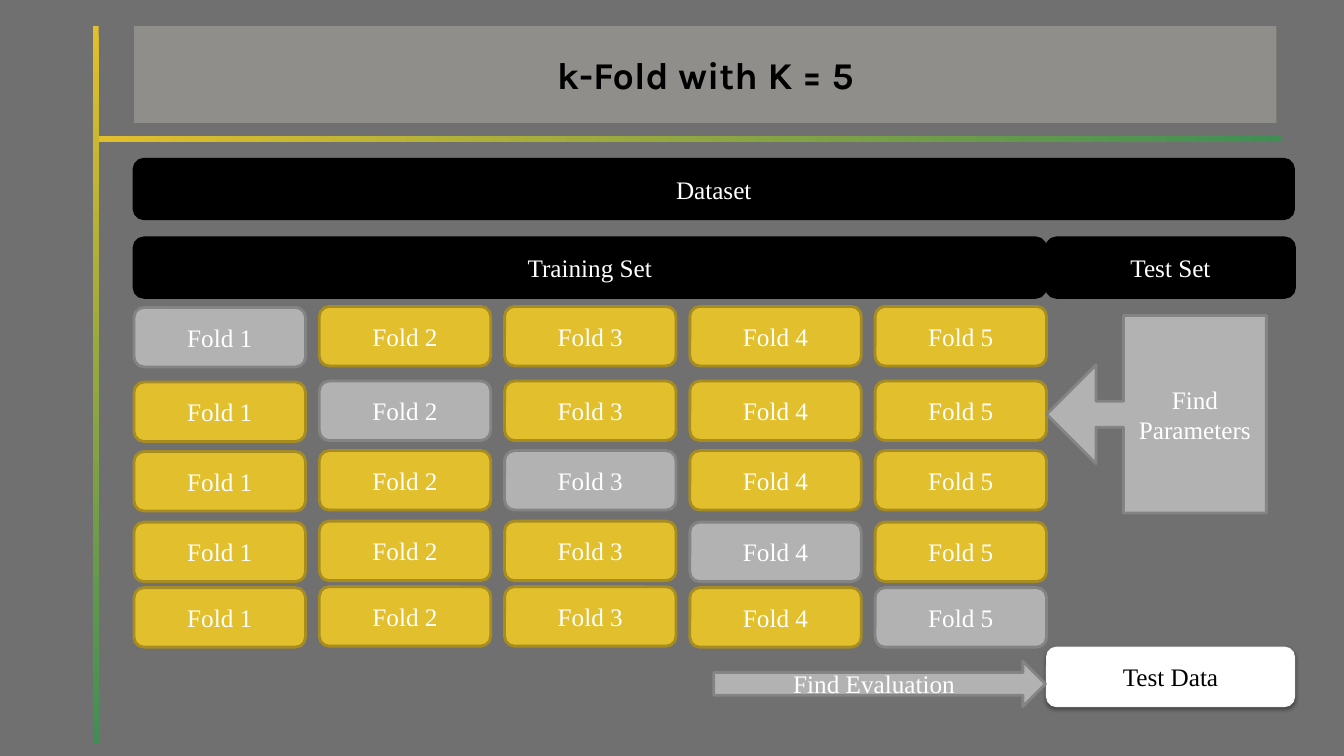
import pptx
import pptx.util
import pptx.dml.color
import pptx.enum.shapes
import pptx.enum.text
import pptx.oxml
import pptx.oxml.ns

Inches = pptx.util.Inches
Pt = pptx.util.Pt
KIND = pptx.enum.shapes.MSO_SHAPE
HUES = {
    "back": "707070", "gold": "E2BF2C", "rim": "A78D21", "green": "408E56",
    "cream": "EEEBDE", "grey": "B2B2B2", "edge": "848484",
    "black": "000000", "white": "FFFFFF", "pale": "F9F9F9",
}


def hue(name):
    return pptx.dml.color.RGBColor.from_string(HUES[name])


def block(kind, box, fill, line=None, text="", ink="white", font="Times New Roman", size=18):
    shape = slide.shapes.add_shape(kind, *[Inches(n) for n in box])
    shape.shadow.inherit = False
    shape.fill.solid()
    shape.fill.fore_color.rgb = hue(fill)
    if line:
        shape.line.color.rgb = hue(line)
        shape.line.width = Pt(2)
    else:
        shape.line.fill.background()
    if text:
        shape.text_frame.text = text
        shape.text_frame.vertical_anchor = pptx.enum.text.MSO_ANCHOR.MIDDLE
        para = shape.text_frame.paragraphs[0]
        para.alignment = pptx.enum.text.PP_ALIGN.CENTER
        run = para.runs[0]
        run.font.name = font
        run.font.size = Pt(size)
        run.font.color.rgb = hue(ink)
    return shape


deck = pptx.Presentation()
deck.slide_width = Inches(13.33)
deck.slide_height = Inches(7.5)
slide = deck.slides.add_slide(deck.slide_layouts[6])
slide.background.fill.solid()
slide.background.fill.fore_color.rgb = hue("back")

for box, angle in [((0.92, 0.26, 0.06, 7.11), 270), ((0.98, 1.35, 11.74, 0.06), 0)]:
    bar = block(KIND.RECTANGLE, box, "gold")
    bar.fill.gradient()
    bar.fill.gradient_angle = angle
    for stop, name in zip(bar.fill.gradient_stops, ["gold", "green"]):
        stop.color.rgb = hue(name)

title = block(KIND.RECTANGLE, (1.33, 0.26, 11.33, 0.96), "cream", None,
              "k-Fold with K = 5", "black", "Karla", 27)
title.text_frame.paragraphs[0].runs[0].font.bold = True
tint = title.fill._xPr.find(".//" + pptx.oxml.ns.qn("a:srgbClr"))
tint.append(pptx.oxml.parse_xml(
    f'<a:alpha {pptx.oxml.ns.nsdecls("a")} val="25000"/>'))

high = 0.59
left = 1.33
for x, y, wide, text in [
    (left, 1.58, 11.5, "Dataset"),
    (left, 2.36, 9.04, "Training Set"),
    (10.38, 2.36, 2.46, "Test Set"),
]:
    block(KIND.ROUNDED_RECTANGLE, (x, y, wide, high), "black", "black", text)

step = (8.68 - left) / 4
for row, top in enumerate([3.04, 3.78, 4.47, 5.17, 5.82]):
    for col in range(5):
        fill, line = ("grey", "edge") if row == col else ("gold", "rim")
        drop = 0.01 if col == 0 or (row > 2 and col > 2) else 0
        block(KIND.ROUNDED_RECTANGLE, (left + col * step, top + drop, 1.7, high),
              fill, line, f"Fold {col + 1}")

call = block(KIND.DOWN_ARROW_CALLOUT, (10.49, 3.02, 1.96, 2.18), "grey", "edge",
             "Find Parameters")
call.rotation = 90
for spot, ratio in enumerate([0.131, 0.25, 0.25, 0.65]):
    call.adjustments[spot] = ratio
call.text_frame._txBody.bodyPr.set("vert", "vert270")

test = block(KIND.ROUNDED_RECTANGLE, (10.38, 6.42, 2.46, high), "white", "pale",
             "Test Data", "black")
test.line.width = Pt(0.75)
glow = test._element.spPr.find(pptx.oxml.ns.qn("a:effectLst"))
glow.append(pptx.oxml.parse_xml(
    f'<a:outerShdw {pptx.oxml.ns.nsdecls("a")} blurRad="{Pt(3.1)}" dist="{Pt(1.6)}" '
    f'dir="5400000" rotWithShape="0"><a:srgbClr val="{HUES["black"]}">'
    '<a:alpha val="38000"/></a:srgbClr></a:outerShdw>'))

block(KIND.RIGHT_ARROW, (7.08, 6.56, 3.29, 0.45), "grey", "edge", "Find Evaluation")

deck.save("out.pptx")
